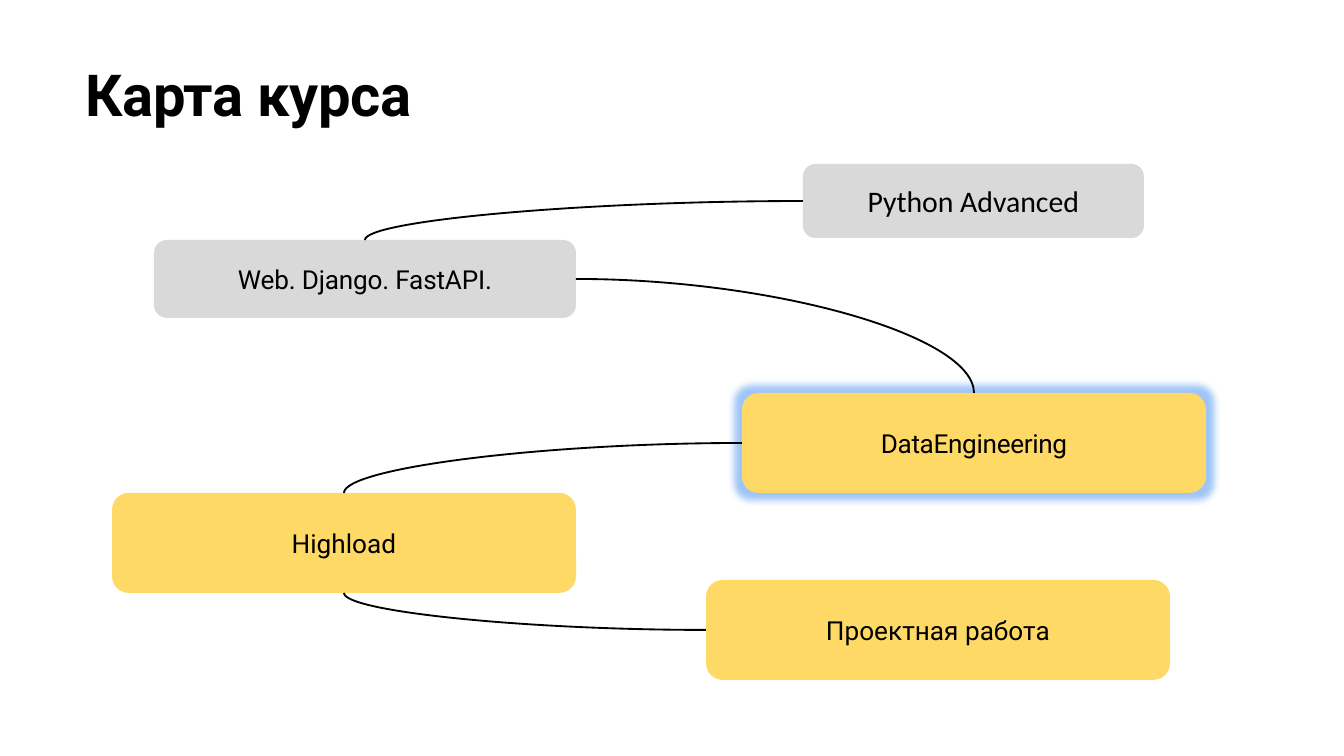
from lxml.etree import SubElement
from pptx import Presentation
from pptx.dml.color import RGBColor
from pptx.enum.shapes import MSO_CONNECTOR, MSO_SHAPE
from pptx.enum.text import MSO_ANCHOR, MSO_AUTO_SIZE, PP_ALIGN
from pptx.oxml.ns import qn
from pptx.util import Emu, Pt

COLORS = {"text": "000000", "done": "D9D9D9", "course": "FFD966", "glow": "9FC5F8"}
PX = 914400 / 134.4
TOP, LEFT, BOTTOM, RIGHT = range(4)

TITLE = [("Карта ", -30), ("курса", -10)]
TITLE_BOX = (85, 56, 915, 73)
STAGES = [
    ("Python Advanced", (803, 164, 341, 74), "done", "Calibri", 16, 0),
    ("Web. Django. FastAPI.", (154, 240, 422, 78), "done", "Roboto", 14, -10),
    ("DataEngineering", (742, 393, 464, 100), "course", "Roboto", 14, -20),
    ("Highload", (112, 493, 464, 100), "course", "Roboto", 14, 0),
    ("Проектная работа", (706, 580, 464, 100), "course", "Roboto", 14, 0),
]
CURRENT_STAGE = "DataEngineering"
LINKS = [
    ("Python Advanced", LEFT, "Web. Django. FastAPI.", TOP),
    ("Web. Django. FastAPI.", RIGHT, "DataEngineering", TOP),
    ("DataEngineering", LEFT, "Highload", TOP),
    ("Проектная работа", LEFT, "Highload", BOTTOM),
]


def px(value):
    return Emu(round(value * PX))


def color(name):
    return RGBColor.from_string(COLORS[name])


def format_run(run, font_name, size, spacing, bold=False):
    run.font.name = font_name
    run.font.size = Pt(size)
    run.font.bold = bold
    run.font.color.rgb = color("text")
    if spacing:
        run.font._element.set("spc", str(spacing))


def add_title(slide):
    title = slide.shapes.title
    title.left, title.top, title.width, title.height = map(px, TITLE_BOX)
    frame = title.text_frame
    frame.auto_size = MSO_AUTO_SIZE.NONE
    frame.word_wrap = True
    frame.vertical_anchor = MSO_ANCHOR.TOP
    frame.margin_left = px(1)
    frame.margin_top = px(3)
    frame.margin_right = frame.margin_bottom = 0
    paragraph = frame.paragraphs[0]
    paragraph.alignment = PP_ALIGN.LEFT
    for text, spacing in TITLE:
        run = paragraph.add_run()
        run.text = text
        format_run(run, "Roboto", 31, spacing, bold=True)


def add_glow(shape):
    effects = shape._element.spPr.find(qn("a:effectLst"))
    glow = SubElement(effects, qn("a:glow"), rad=str(px(14)))
    SubElement(glow, qn("a:srgbClr"), val=COLORS["glow"])


def add_stage(slide, text, box, fill, font_name, size, spacing):
    shape = slide.shapes.add_shape(MSO_SHAPE.ROUNDED_RECTANGLE, *map(px, box))
    shape.shadow.inherit = False
    shape.fill.solid()
    shape.fill.fore_color.rgb = color(fill)
    shape.line.fill.background()
    frame = shape.text_frame
    frame.text = text
    frame.word_wrap = True
    frame.vertical_anchor = MSO_ANCHOR.MIDDLE
    paragraph = frame.paragraphs[0]
    paragraph.alignment = PP_ALIGN.CENTER
    format_run(paragraph.runs[0], font_name, size, spacing)
    if text == CURRENT_STAGE:
        add_glow(shape)
    return shape


def add_link(slide, start, start_side, end, end_side):
    connector = slide.shapes.add_connector(MSO_CONNECTOR.CURVE, 0, 0, 0, 0)
    connector.begin_connect(start, start_side)
    connector.end_connect(end, end_side)
    connector.line.color.rgb = color("text")
    connector.line.width = Pt(1)
    properties = connector._element.spPr
    properties.find(qn("a:prstGeom")).set("prst", "curvedConnector2")
    SubElement(properties, qn("a:effectLst"))


def main():
    presentation = Presentation()
    presentation.slide_width = px(1344)
    presentation.slide_height = px(756)
    slide = presentation.slides.add_slide(presentation.slide_layouts[5])
    add_title(slide)
    stages = {stage[0]: add_stage(slide, *stage) for stage in STAGES}
    for start, start_side, end, end_side in LINKS:
        add_link(slide, stages[start], start_side, stages[end], end_side)
    presentation.save("out.pptx")


if __name__ == "__main__":
    main()
